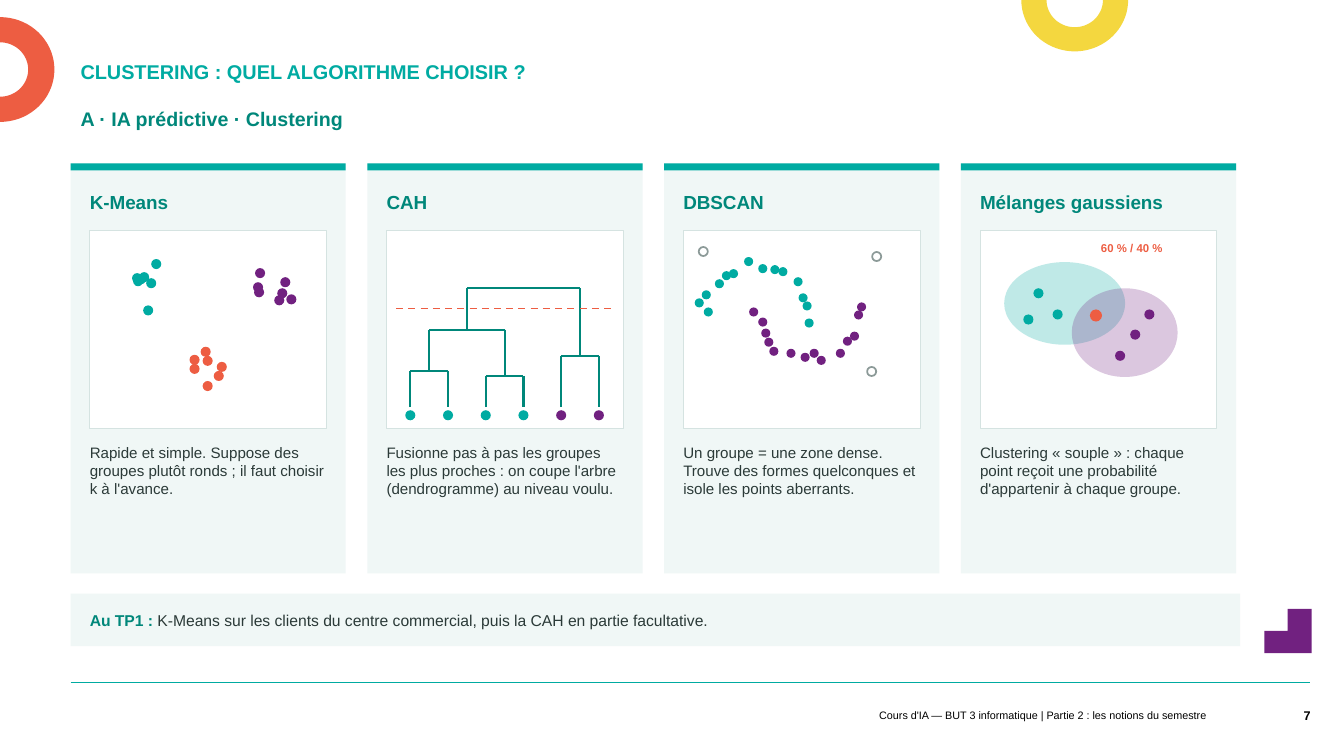
"""Build a slide that compares four clustering methods."""
from dataclasses import dataclass
from math import cos, radians, sin

from lxml.etree import SubElement
from pptx import Presentation
from pptx.dml.color import RGBColor
from pptx.enum.dml import MSO_LINE
from pptx.enum.shapes import MSO_CONNECTOR, MSO_SHAPE
from pptx.enum.text import MSO_ANCHOR, PP_ALIGN
from pptx.oxml.ns import qn
from pptx.shapes.autoshape import Shape
from pptx.shapes.shapetree import SlideShapes
from pptx.util import Inches, Length, Pt

Spot = tuple[float, float]
Box = tuple[float, float, float, float]
Run = tuple[str, str, bool]


@dataclass(frozen=True)
class Theme:
    font: str = "Arial"
    teal: str = "00ABA2"
    rule: str = "00ABA1"
    deep: str = "00877A"
    plum: str = "712180"
    coral: str = "ED5D42"
    gold: str = "F4D73F"
    pale: str = "F0F7F6"
    edge: str = "D5E3E1"
    grey: str = "8C9A98"
    ink: str = "2B3A38"
    white: str = "FFFFFF"
    black: str = "000000"
    title: float = 14.2
    sub: float = 14
    head: float = 13.5
    note: float = 11.2
    body: float = 10.8
    page: float = 9
    tag: float = 8.1
    foot: float = 7.7


T = Theme()


@dataclass(frozen=True)
class Card:
    name: str
    text: str


@dataclass(frozen=True)
class Cloud:
    color: str
    size: float
    spots: list[Spot]
    edge: str = ""


@dataclass(frozen=True)
class Fork:
    left: float
    right: float
    top: float
    left_end: float
    right_end: float


@dataclass(frozen=True)
class Ring:
    color: str
    mid: Spot
    outer: Spot
    inner: Spot
    start: int


CARDS = [
    Card("K-Means", "Rapide et simple. Suppose des groupes plutôt ronds ; il faut choisir k à l'avance."),
    Card("CAH", "Fusionne pas à pas les groupes les plus proches : on coupe l'arbre (dendrogramme) au niveau voulu."),
    Card("DBSCAN", "Un groupe = une zone dense. Trouve des formes quelconques et isole les points aberrants."),
    Card("Mélanges gaussiens", "Clustering « souple » : chaque point reçoit une probabilité d'appartenir à chaque groupe."),
]
LEAF = [4.07 + i * 1.87 / 5 for i in range(6)]
LEAVES = [(x - 0.05, 4.07) for x in LEAF]
CLOUDS = [
    Cloud(T.teal, 0.1, [(1.31, 2.71), (1.35, 2.72), (1.5, 2.57), (1.38, 2.7),
                        (1.32, 2.74), (1.42, 3.03), (1.45, 2.76)]),
    Cloud(T.plum, 0.1, [(2.52, 2.85), (2.78, 2.75), (2.51, 2.8), (2.72, 2.93),
                        (2.53, 2.66), (2.75, 2.86), (2.84, 2.92)]),
    Cloud(T.coral, 0.1, [(1.88, 3.61), (2.01, 3.53), (2.15, 3.59), (2.01, 3.78),
                         (1.99, 3.44), (1.88, 3.52), (2.12, 3.68)]),
    Cloud(T.teal, 0.1, LEAVES[:4]),
    Cloud(T.plum, 0.1, LEAVES[4:]),
    Cloud(T.teal, 0.09, [(7.98, 3.16), (7.96, 2.99), (7.92, 2.91), (7.87, 2.75), (7.72, 2.65),
                         (7.64, 2.63), (7.52, 2.62), (7.38, 2.55), (7.23, 2.67), (7.16, 2.69),
                         (7.09, 2.77), (6.96, 2.88), (6.89, 2.96), (6.98, 3.05)]),
    Cloud(T.plum, 0.09, [(7.43, 3.05), (7.52, 3.15), (7.55, 3.26), (7.58, 3.35), (7.63, 3.44),
                         (7.8, 3.46), (7.94, 3.5), (8.03, 3.46), (8.1, 3.53), (8.29, 3.46),
                         (8.36, 3.34), (8.43, 3.29), (8.47, 3.08), (8.5, 3)]),
    Cloud(T.white, 0.09, [(6.93, 2.45), (8.65, 2.5), (8.6, 3.64)], T.grey),
    Cloud(T.teal, 0.1, [(10.25, 2.86), (10.44, 3.07), (10.15, 3.12)]),
    Cloud(T.plum, 0.1, [(11.21, 3.27), (11.35, 3.07), (11.06, 3.48)]),
    Cloud(T.coral, 0.12, [(10.81, 3.07)]),
]
FORKS = [
    Fork(0, 1, 3.68, 4.04, 4.04),
    Fork(2, 3, 3.73, 4.04, 4.04),
    Fork(0.5, 2.5, 3.27, 3.68, 3.73),
    Fork(4, 5, 3.53, 4.04, 4.04),
    Fork(1.5, 4.5, 2.86, 3.27, 3.53),
]
RINGS = [
    Ring(T.gold, (10.66, 0), (0.53, 0.51), (0.28, 0.27), 0),
    Ring(T.coral, (0, 0.69), (0.54, 0.52), (0.28, 0.27), -90),
]
STEP = [(12.77, 6.04), (13.01, 6.04), (13.01, 6.48), (12.54, 6.48), (12.54, 6.26), (12.77, 6.26)]


def paint(shape: Shape, fill: str, edge: str = "", width: float = 0.75, alpha: int = 100) -> None:
    shape.shadow.inherit = False
    shape.fill.solid()
    shape.fill.fore_color.rgb = RGBColor.from_string(fill)
    if alpha < 100:
        tint = next(shape._element.spPr.iter(qn("a:srgbClr")))
        SubElement(tint, qn("a:alpha"), val=str(alpha * 1000))
    if edge:
        shape.line.color.rgb = RGBColor.from_string(edge)
        shape.line.width = Pt(width)
    else:
        shape.line.fill.background()


def block(shapes: SlideShapes, box: Box, fill: str, kind: MSO_SHAPE = MSO_SHAPE.RECTANGLE,
          edge: str = "", width: float = 0.75, alpha: int = 100) -> None:
    paint(shapes.add_shape(kind, *map(Inches, box)), fill, edge, width, alpha)


def outline(shapes: SlideShapes, spots: list[Spot], fill: str) -> None:
    first, *rest = [(Inches(x), Inches(y)) for x, y in spots]
    pen = shapes.build_freeform(*first)
    pen.add_line_segments(rest)
    paint(pen.convert_to_shape(), fill)


def arch(shapes: SlideShapes, ring: Ring) -> None:
    turns = [radians(ring.start + step) for step in range(0, 181, 5)]
    (x, y), (a, b), (c, d) = ring.mid, ring.outer, ring.inner
    outer = [(x + a * cos(t), y + b * sin(t)) for t in turns]
    inner = [(x + c * cos(t), y + d * sin(t)) for t in reversed(turns)]
    outline(shapes, outer + inner, ring.color)


def line(shapes: SlideShapes, start: Spot, end: Spot, color: str, width: float,
         dash: bool = False) -> None:
    link = shapes.add_connector(MSO_CONNECTOR.STRAIGHT, *map(Inches, start + end))
    link.line.color.rgb = RGBColor.from_string(color)
    link.line.width = Pt(width)
    if dash:
        link.line.dash_style = MSO_LINE.DASH
    SubElement(link._element.spPr, qn("a:effectLst"))


def write(shapes: SlideShapes, box: Box, runs: list[Run], size: float, *,
          anchor: MSO_ANCHOR = MSO_ANCHOR.TOP, align: PP_ALIGN = PP_ALIGN.LEFT,
          inset: Box = (0, 0, 0, 0), space: float | Length | None = None) -> None:
    frame = shapes.add_textbox(*map(Inches, box)).text_frame
    frame.word_wrap = True
    frame.vertical_anchor = anchor
    (frame.margin_left, frame.margin_top,
     frame.margin_right, frame.margin_bottom) = map(Inches, inset)
    para = frame.paragraphs[0]
    para.alignment = align
    if space is not None:
        para.line_spacing = space
    for text, color, bold in runs:
        run = para.add_run()
        run.text = text
        run.font.name = T.font
        run.font.size = Pt(size)
        run.font.bold = bold
        run.font.color.rgb = RGBColor.from_string(color)


def main() -> None:
    deck = Presentation()
    deck.slide_width, deck.slide_height = Inches(13.33), Inches(7.5)
    shapes = deck.slides.add_slide(deck.slide_layouts[6]).shapes
    mid, right, pad = MSO_ANCHOR.MIDDLE, PP_ALIGN.RIGHT, (0.1, 0.05, 0.1, 0.05)

    for ring in RINGS:
        arch(shapes, ring)
    outline(shapes, STEP, T.plum)
    line(shapes, (0.7, 6.77), (12.99, 6.77), T.rule, 0.5)
    write(shapes, (0.7, 1.04, 9.72, 0.46), [("A · IA prédictive · Clustering", T.deep, True)],
          T.sub, inset=pad, space=0.9)
    write(shapes, (0.7, 0.54, 9.72, 0.34), [("CLUSTERING : QUEL ALGORITHME CHOISIR ?", T.teal, True)],
          T.title, anchor=MSO_ANCHOR.BOTTOM, inset=pad, space=Pt(16.7))
    write(shapes, (5.43, 6.98, 6.63, 0.23),
          [("Cours d'IA — BUT 3 informatique | Partie 2 : les notions du semestre", T.black, False)],
          T.foot, anchor=mid, align=right, inset=pad)
    write(shapes, (12.45, 6.9, 0.55, 0.4), [("7", T.black, True)], T.page,
          anchor=mid, align=right, inset=(0.1, 0.05, 0, 0.05))

    for i, card in enumerate(CARDS):
        x = 0.7 + i * 8.83 / 3
        block(shapes, (x, 1.62, 2.73, 4.07), T.pale)
        block(shapes, (x, 1.62, 2.73, 0.07), T.teal)
        write(shapes, (x + 0.19, 1.77, 2.35, 0.46), [(card.name, T.deep, True)], T.head, anchor=mid)
        block(shapes, (x + 0.19, 2.29, 2.35, 1.96), T.white, edge=T.edge)
        write(shapes, (x + 0.19, 4.4, 2.35, 1.18), [(card.text, T.ink, False)], T.body)

    for fork in FORKS:
        a, b = (LEAF[0] + n * 1.87 / 5 for n in (fork.left, fork.right))
        bends = [(a, fork.left_end), (a, fork.top), (b, fork.top), (b, fork.right_end)]
        for start, end in zip(bends, bends[1:]):
            line(shapes, start, end, T.deep, 1.5)
    line(shapes, (3.93, 3.06), (6.09, 3.06), T.coral, 1.25, dash=True)

    block(shapes, (9.96, 2.6, 1.2, 0.82), T.teal, MSO_SHAPE.OVAL, alpha=25)
    block(shapes, (10.63, 2.86, 1.05, 0.88), T.plum, MSO_SHAPE.OVAL, alpha=25)
    for cloud in CLOUDS:
        for x, y in cloud.spots:
            block(shapes, (x, y, cloud.size, cloud.size), cloud.color, MSO_SHAPE.OVAL,
                  cloud.edge, 1.25)
    write(shapes, (10.92, 2.39, 0.86, 0.26), [("60 % / 40 %", T.coral, True)], T.tag)

    block(shapes, (0.7, 5.89, 11.6, 0.52), T.pale)
    write(shapes, (0.89, 5.89, 11.31, 0.52),
          [("Au TP1 : ", T.deep, True),
           ("K-Means sur les clients du centre commercial, puis la CAH en partie facultative.", T.ink, False)],
          T.note, anchor=mid)
    deck.save("out.pptx")


if __name__ == "__main__":
    main()
